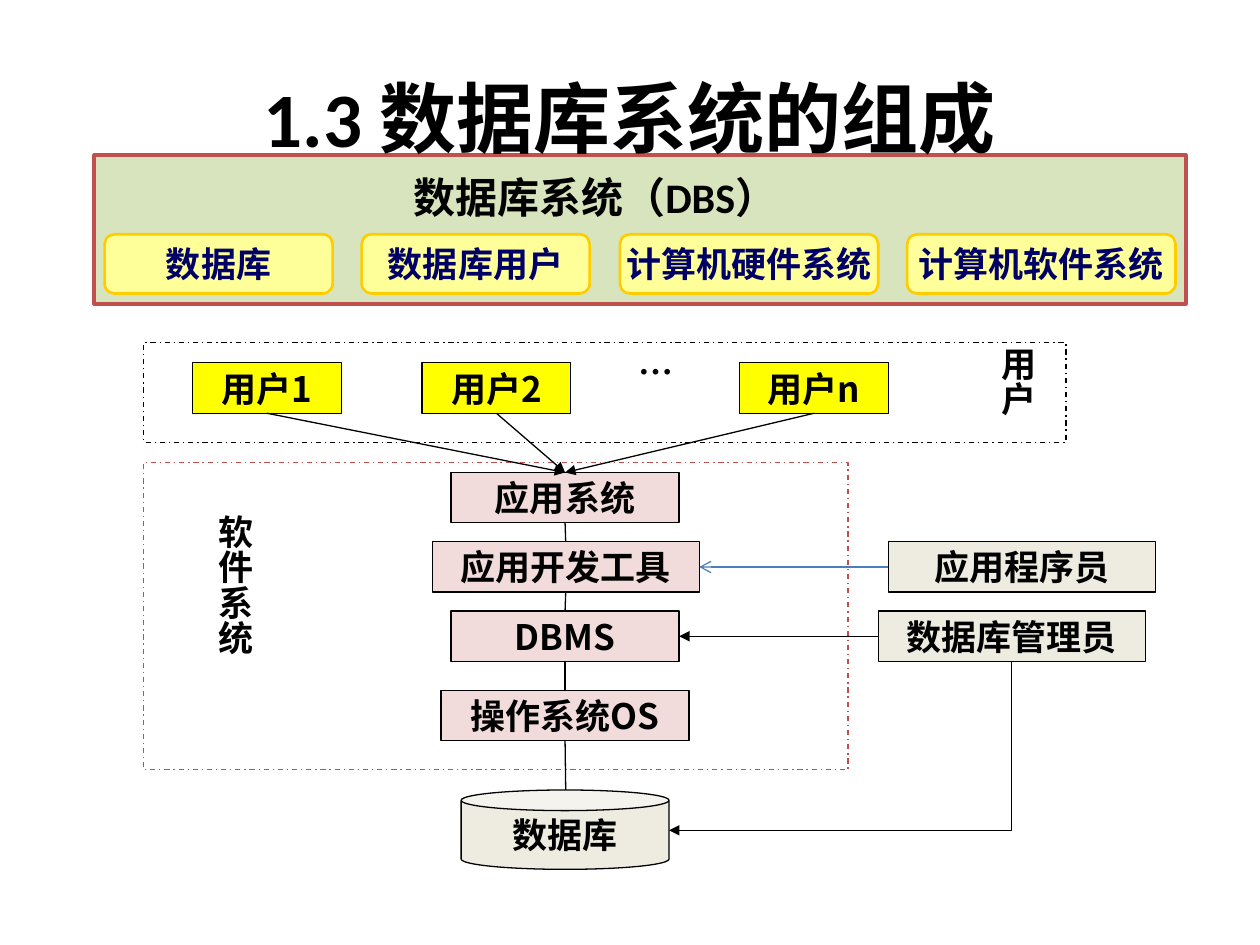
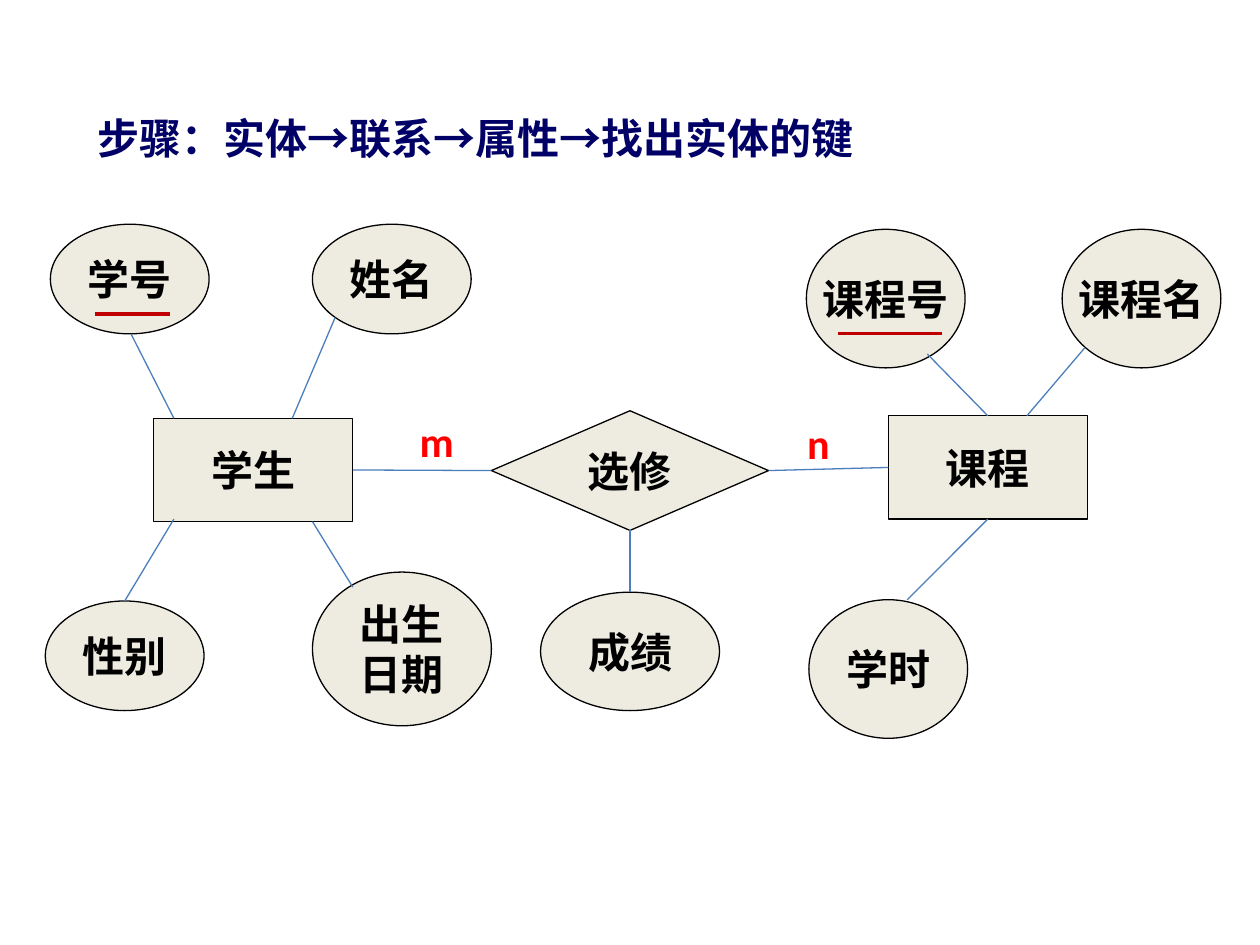
import pptx
import pptx.chart.data
import pptx.dml.color
import pptx.enum.dml
import pptx.enum.shapes
import pptx.enum.text
import pptx.oxml
import pptx.oxml.ns
import pptx.util
from lxml import etree

SCALE = 9144
BLACK, NAVY, RED, CRIMSON = "000000", "000066", "FF0000", "C00000"
CREAM, PINK, YELLOW, BLUE, BRICK = "EEECE1", "F2DCDB", "FFFF00", "4B7EBC", "C0504D"
SANS, HAN, LATIN = "Arial", "Noto Sans CJK SC", "Calibri"
KIND = pptx.enum.shapes.MSO_SHAPE
WIRE = pptx.enum.shapes.MSO_CONNECTOR
ALIGN = pptx.enum.text.PP_ALIGN
ANCHOR = pptx.enum.text.MSO_ANCHOR
DASH = pptx.enum.dml.MSO_LINE.DASH_DOT
TOP, LEFT, BOTTOM, RIGHT = range(4)


def px(*spans):
    return [pptx.util.Emu(span * SCALE) for span in spans]


def tint(code):
    return pptx.dml.color.RGBColor.from_string(code)


def tag(owner, name, **attrs):
    return etree.SubElement(owner, pptx.oxml.ns.qn(name), attrs)


def say(shape, text, size=20, font=SANS, color=BLACK, align=ALIGN.CENTER,
        anchor=ANCHOR.MIDDLE, wrap=False, vert=None):
    frame = shape.text_frame
    frame.auto_size = pptx.enum.text.MSO_AUTO_SIZE.NONE
    frame.word_wrap = wrap
    frame.vertical_anchor = anchor
    if vert:
        frame._txBody.bodyPr.set("vert", vert)
    for row, words in enumerate(text.split("\n")):
        para = frame.add_paragraph() if row else frame.paragraphs[0]
        para.alignment = align
        para.space_before = pptx.util.Pt(0)
        run = para.add_run()
        run.text = words
        run.font.size = pptx.util.Pt(size)
        run.font.bold = True
        run.font.color.rgb = tint(color)
        run.font.name = font
        tag(run._r.get_or_add_rPr(), "a:ea", typeface=HAN)
    return shape


def place(shape, box):
    shape.left, shape.top, shape.width, shape.height = px(*box)
    return shape


def draw(slide, kind, box, fill=None, edge=BLACK, width=0.75, dash=None):
    shape = slide.shapes.add_shape(kind, *px(*box))
    shape.shadow.inherit = False
    if fill:
        shape.fill.solid()
        shape.fill.fore_color.rgb = tint(fill)
    else:
        shape.fill.background()
    shape.line.color.rgb = tint(edge)
    shape.line.width = pptx.util.Pt(width)
    if dash:
        shape.line.dash_style = dash
    return shape


def node(slide, text, box, kind=KIND.RECTANGLE, fill=CREAM, **form):
    return say(draw(slide, kind, box, fill), text, **form)


def label(slide, text, box, **form):
    return say(slide.shapes.add_textbox(*px(*box)), text, **form)


def wire(slide, ends, color=BLACK, width=0.75, tip=None, kind=WIRE.STRAIGHT):
    line = slide.shapes.add_connector(kind, *px(*ends))
    line.line.color.rgb = tint(color)
    line.line.width = pptx.util.Pt(width)
    if tip:
        tag(line.line._get_or_add_ln(), "a:tailEnd", type=tip)
    tag(line._element.spPr, "a:effectLst")
    return line


def link(slide, start, side, end, other, **form):
    line = wire(slide, (0, 0, 0, 0), **form)
    line.begin_connect(start, side)
    line.end_connect(end, other)


def turn(slide, ends, **form):
    line = wire(slide, ends, kind=WIRE.ELBOW, **form)
    props = line._element.spPr
    props.find(pptx.oxml.ns.qn("a:prstGeom")).set("prst", "bentConnector2")
    props.find(pptx.oxml.ns.qn("a:xfrm")).set("rot", "5400000")


def head(slide, text, box, **form):
    return say(place(slide.shapes.title, box), text, wrap=True, **form)


def system(deck):
    slide = deck.slides.add_slide(deck.slide_layouts[1])
    band = draw(slide, KIND.FLOWCHART_PROCESS, (75, 123, 866, 118), "D7E4BD", BRICK, 2.25)
    slide.shapes._spTree.insert(2, band._element)
    head(slide, "1.3 数据库系统的组成", (50, 30, 900, 125), size=44, font=LATIN)

    body = place(slide.placeholders[1], (43, 131, 914, 47))
    para = body.text_frame.paragraphs[0]
    para.level = 2
    props = para._p.get_or_add_pPr()
    props.set("marL", str(275 * SCALE))
    props.set("indent", "0")
    tag(props, "a:buNone")
    say(body, "数据库系统（DBS）", size=24, font=LATIN, align=ALIGN.LEFT,
        anchor=ANCHOR.TOP, wrap=True)

    parts = [("数据库", 83, 181), ("数据库用户", 287, 181),
             ("计算机硬件系统", 492, 205), ("计算机软件系统", 720, 213)]
    for text, left, width in parts:
        part = draw(slide, KIND.FLOWCHART_ALTERNATE_PROCESS, (left, 186, width, 47),
                    "FFFF99", "FFCC00", 1.5)
        say(part, text, color=NAVY)

    users = [node(slide, text, (left, 288, 118, 40), fill=YELLOW, font=HAN)
             for text, left in [("用户1", 153), ("用户2", 335), ("用户n", 587)]]
    label(slide, "…", (497, 273, 48, 43), font=HAN, anchor=ANCHOR.TOP)
    draw(slide, KIND.RECTANGLE, (114, 272, 732, 79), dash=DASH)
    draw(slide, KIND.RECTANGLE, (114, 367, 559, 244), edge=BRICK, dash=DASH)
    for text, box in [("用户", (776, 265, 53, 82)), ("软件系统", (155, 399, 53, 155))]:
        label(slide, text, box, align=ALIGN.LEFT, anchor=ANCHOR.TOP, vert="eaVert")

    layers = [node(slide, text, (449 - (width + 1) // 2, top, width, 40), fill=PINK, font=HAN)
              for text, top, width in [("应用系统", 375, 181), ("应用开发工具", 430, 212),
                                       ("DBMS", 485, 181), ("操作系统OS", 548, 197)]]
    for user in users:
        link(slide, user, BOTTOM, layers[0], TOP, tip="triangle")
    for upper, lower in zip(layers, layers[1:]):
        link(slide, upper, BOTTOM, lower, TOP)

    store = node(slide, "数据库", (366, 627, 165, 63), KIND.CAN)
    store.adjustments[0] = 0.26
    wire(slide, (449, 588, 449, 627)).begin_connect(layers[3], BOTTOM)
    admin = node(slide, "数据库管理员", (697, 485, 212, 40))
    coder = node(slide, "应用程序员", (705, 430, 212, 40))
    link(slide, admin, LEFT, layers[2], RIGHT, tip="triangle")
    link(slide, coder, LEFT, layers[1], RIGHT, color=BLUE, tip="arrow")
    turn(slide, (600, 456, 734, 728), tip="triangle")


def model(deck):
    slide = deck.slides.add_slide(deck.slide_layouts[5])
    head(slide, "步骤：实体→联系→属性→找出实体的键", (67, 84, 627, 50),
         size=24, color=NAVY, align=ALIGN.LEFT)

    course, pupil = [node(slide, text, (left, top, 158, 82), KIND.FLOWCHART_PROCESS, size=24)
                     for text, left, top in [("课程", 705, 330), ("学生", 122, 332)]]
    choice = node(slide, "选修", (390, 326, 220, 95), KIND.DIAMOND, size=24)

    traits = [("性别", 36, 477, 126, 87), ("学号", 40, 178, 126, 87),
              ("姓名", 248, 178, 126, 87), ("出生\n日期", 248, 454, 142, 122),
              ("学时", 642, 476, 126, 110), ("课程号", 640, 182, 126, 110),
              ("课程名", 843, 182, 126, 110), ("成绩", 429, 470, 142, 94)]
    ovals = {text: node(slide, text, box, KIND.OVAL, size=24) for text, *box in traits}

    for ends in [(104, 265, 138, 332), (232, 332, 266, 252), (138, 412, 99, 477),
                 (248, 414, 280, 466), (784, 330, 736, 281), (815, 330, 861, 276),
                 (784, 412, 720, 476)]:
        wire(slide, ends, BLUE)
    link(slide, pupil, RIGHT, choice, LEFT, color=BLUE)
    link(slide, choice, RIGHT, course, LEFT, color=BLUE)
    link(slide, choice, BOTTOM, ovals["成绩"], TOP, color=BLUE)

    for text, box in [("m", (319, 316, 55, 67)), ("n", (610, 319, 79, 64))]:
        label(slide, text, box, size=24, font=LATIN, color=RED, wrap=True)
    wire(slide, (665, 265, 748, 265), CRIMSON, 1.75)
    wire(slide, (75, 249, 135, 249), CRIMSON, 2.25)


def main():
    deck = pptx.Presentation()
    deck.slide_width, deck.slide_height = px(1000, 750)
    system(deck)
    model(deck)
    deck.save("out.pptx")


if __name__ == "__main__":
    main()
